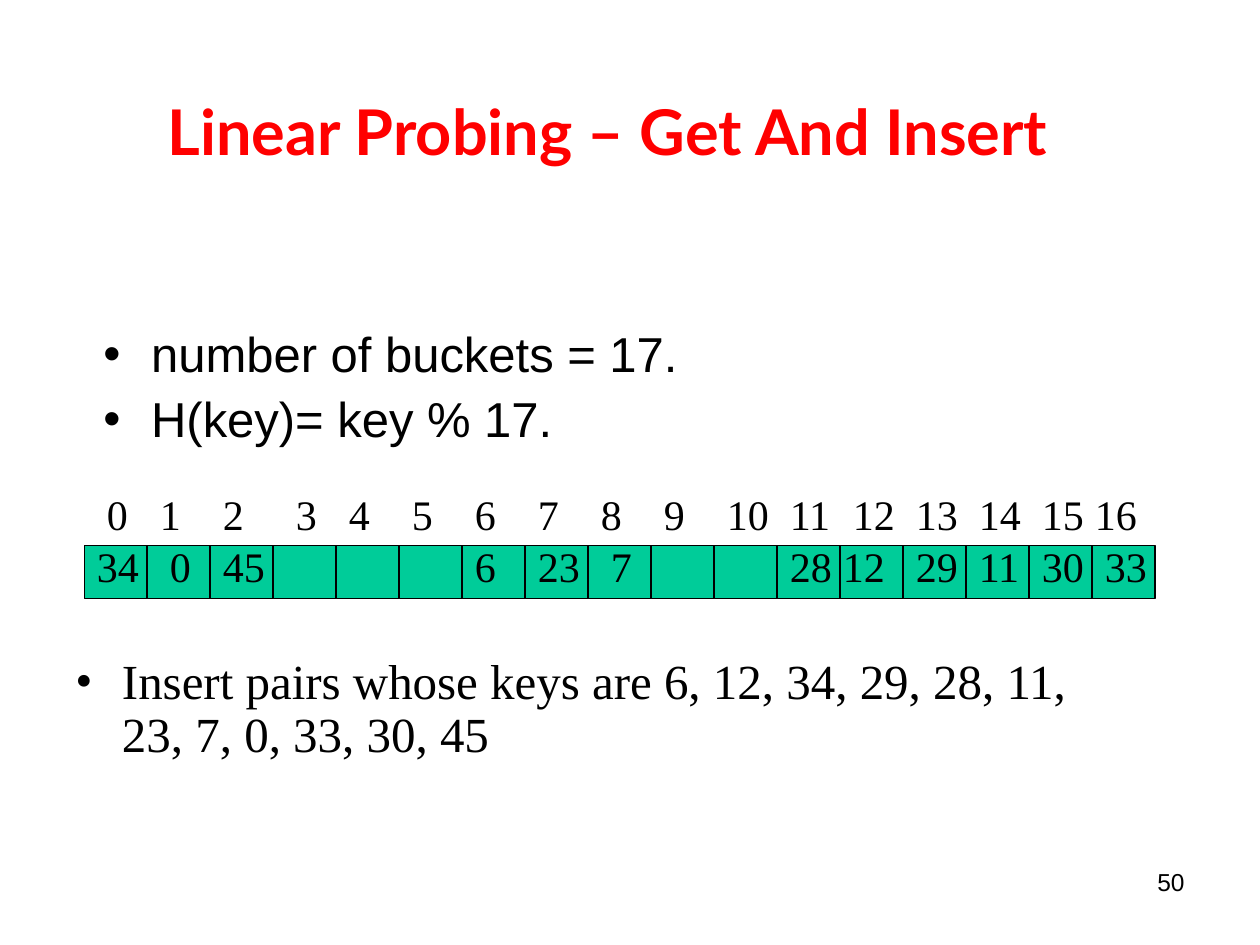
import pptx
import pptx.util
import pptx.dml.color
import pptx.enum.shapes
import pptx.enum.text
import pptx.oxml.ns
from lxml import etree

Inches = pptx.util.Inches
Pt = pptx.util.Pt
RGBColor = pptx.dml.color.RGBColor
PP_ALIGN = pptx.enum.text.PP_ALIGN
qn = pptx.oxml.ns.qn

BLACK = RGBColor(0x00, 0x00, 0x00)
RED = RGBColor(0xFF, 0x00, 0x00)
GREEN = RGBColor(0x00, 0xCC, 0x99)
SERIF = "Times New Roman"

BUCKET_COUNT = 17
BUCKET_WIDTH = 0.5
BUCKET_HEIGHT = 0.42
LABEL_HEIGHT = 0.5
EVEN_STOPS = (0.5, 1, 1.5)
INDEX_LABELS = [
    (0.08, 1.92, "0\t1\t2\t3", (0.42, 0.92, 1.5)),
    (2, 2, "4\t5\t6\t7", EVEN_STOPS),
    (4, 2.08, "8\t9\t10\t11", EVEN_STOPS),
    (6, 2.08, "12\t13\t14\t15", EVEN_STOPS),
    (7.92, 0.58, "16", ()),
]
INSERTED_KEYS = [6, 12, 34, 29, 28, 11, 23, 7, 0, 33, 30, 45]
KEY_BUCKETS = {6: 6, 12: 12, 34: 0, 29: 13, 28: 11, 11: 14,
               23: 7, 7: 8, 0: 1, 33: 16, 30: 15, 45: 2}
KEY_SHIFTS = {12: -0.08, 7: 0.08, 0: 0.08}


def add_text(shapes, box, lines, size, font_name, color=BLACK, bold=False,
             inset=0.1, alignment=PP_ALIGN.LEFT):
    shape = shapes.add_textbox(*[Inches(length) for length in box])
    text_frame = shape.text_frame
    text_frame.word_wrap = True
    text_frame.margin_left = text_frame.margin_right = Inches(inset)
    text_frame.text = "\n".join(lines)
    for paragraph in text_frame.paragraphs:
        paragraph.alignment = alignment
        for run in paragraph.runs:
            run.font.size = Pt(size)
            run.font.name = font_name
            run.font.bold = bold
            run.font.color.rgb = color
    return shape


def add_tab_stops(paragraph, stops):
    tab_list = etree.SubElement(paragraph._p.get_or_add_pPr(), qn("a:tabLst"))
    for stop in stops:
        etree.SubElement(tab_list, qn("a:tab"), pos=str(Inches(stop)), algn="l")


def add_title(slide, box):
    shape = add_text(slide.shapes, box, ["Linear Probing – Get And Insert"],
                     36, "Lato", RED, True, inset=0.07)
    shape.text_frame.vertical_anchor = pptx.enum.text.MSO_ANCHOR.MIDDLE
    shape.text_frame.paragraphs[0].line_spacing = 1.02


def add_bullets(slide, box, lines, font_name, indent, inset):
    shape = add_text(slide.shapes, box, lines, 28, font_name, inset=inset)
    for paragraph in shape.text_frame.paragraphs:
        paragraph.line_spacing = 0.9
        paragraph.space_before = Pt(7)
        properties = paragraph._p.get_or_add_pPr()
        properties.set("marL", str(Inches(indent)))
        properties.set("indent", str(-Inches(indent)))
        bullet_color = etree.SubElement(properties, qn("a:buClr"))
        etree.SubElement(bullet_color, qn("a:srgbClr"), val=str(BLACK))
        etree.SubElement(properties, qn("a:buFont"), typeface=font_name)
        etree.SubElement(properties, qn("a:buChar"), char="•")


def add_buckets(slide, left, top):
    group = slide.shapes.add_group_shape()
    for bucket in range(BUCKET_COUNT):
        cell = group.shapes.add_shape(
            pptx.enum.shapes.MSO_SHAPE.RECTANGLE,
            Inches(left + bucket * BUCKET_WIDTH), Inches(top + LABEL_HEIGHT),
            Inches(BUCKET_WIDTH), Inches(BUCKET_HEIGHT))
        cell.shadow.inherit = False
        cell.fill.solid()
        cell.fill.fore_color.rgb = GREEN
        cell.line.color.rgb = BLACK
        cell.line.width = Pt(1)
    for offset, width, label, stops in INDEX_LABELS:
        shape = add_text(group.shapes, (left + offset, top, width, LABEL_HEIGHT),
                         [label], 24, SERIF)
        paragraph = shape.text_frame.paragraphs[0]
        paragraph.space_before = Pt(15)
        if stops:
            add_tab_stops(paragraph, stops)


def add_keys(slide, left, top):
    for key in INSERTED_KEYS:
        key_left = left + KEY_BUCKETS[key] * BUCKET_WIDTH + KEY_SHIFTS.get(key, 0)
        width = 0.58 if key > 9 else 0.42
        shape = add_text(slide.shapes, (key_left, top, width, 0.5),
                         [str(key)], 24, SERIF)
        shape.text_frame.paragraphs[0].space_before = Pt(15)


def add_slide_number(slide, box):
    add_text(slide.shapes, box, ["50"], 14, "Arial", alignment=PP_ALIGN.RIGHT)


def main():
    presentation = pptx.Presentation()
    presentation.slide_width = Inches(10)
    presentation.slide_height = Inches(7.5)
    slide = presentation.slides.add_slide(presentation.slide_layouts[6])
    add_title(slide, (1.26, 0.23, 8.52, 1.6))
    add_bullets(slide, (0.75, 2.57, 8.5, 1.05),
                ["number of buckets = 17.", "H(key)= key % 17."],
                "Arial", 0.38, 0.07)
    add_buckets(slide, 0.67, 3.83)
    key_list = ", ".join(str(key) for key in INSERTED_KEYS)
    add_bullets(slide, (0.5, 5.17, 8.5, 1),
                [f"Insert pairs whose keys are {key_list}"], SERIF, 0.37, 0.1)
    add_keys(slide, 0.67, 4.24)
    add_slide_number(slide, (7.17, 6.83, 2.33, 0.52))
    presentation.save("out.pptx")


if __name__ == "__main__":
    main()
